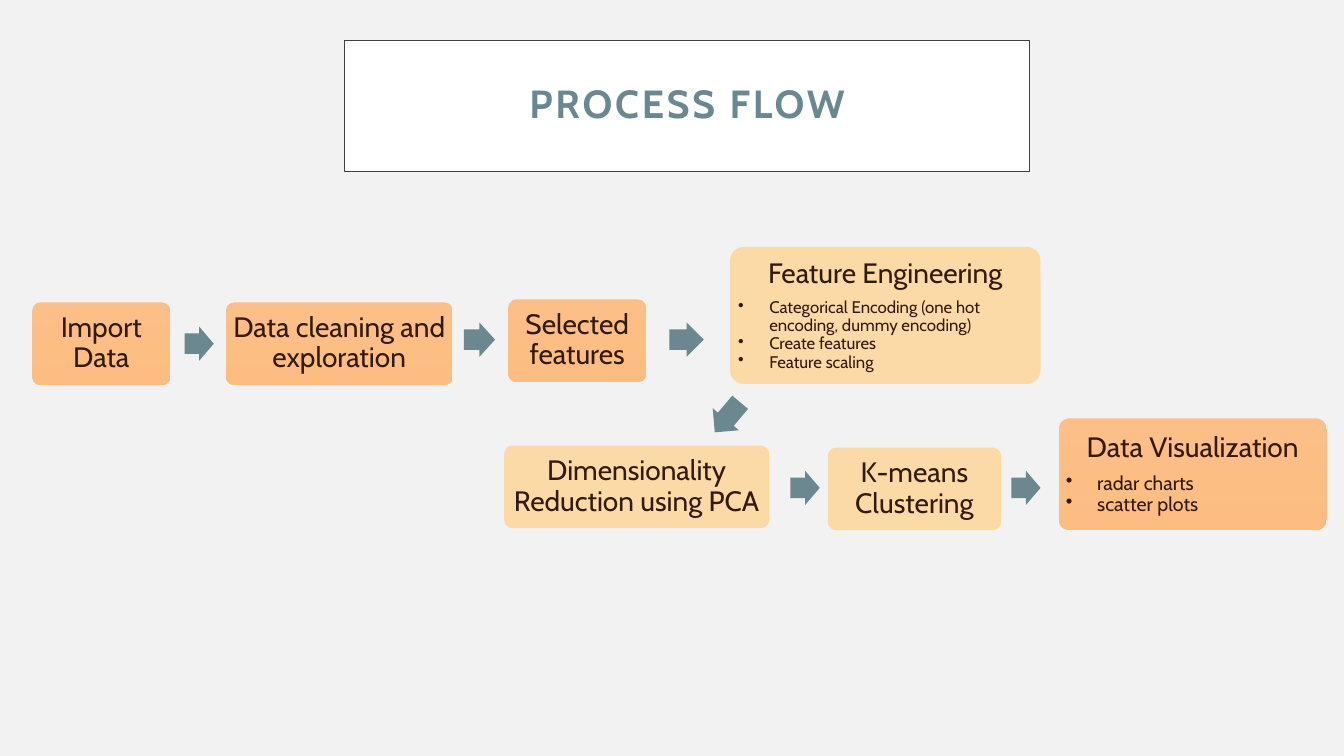
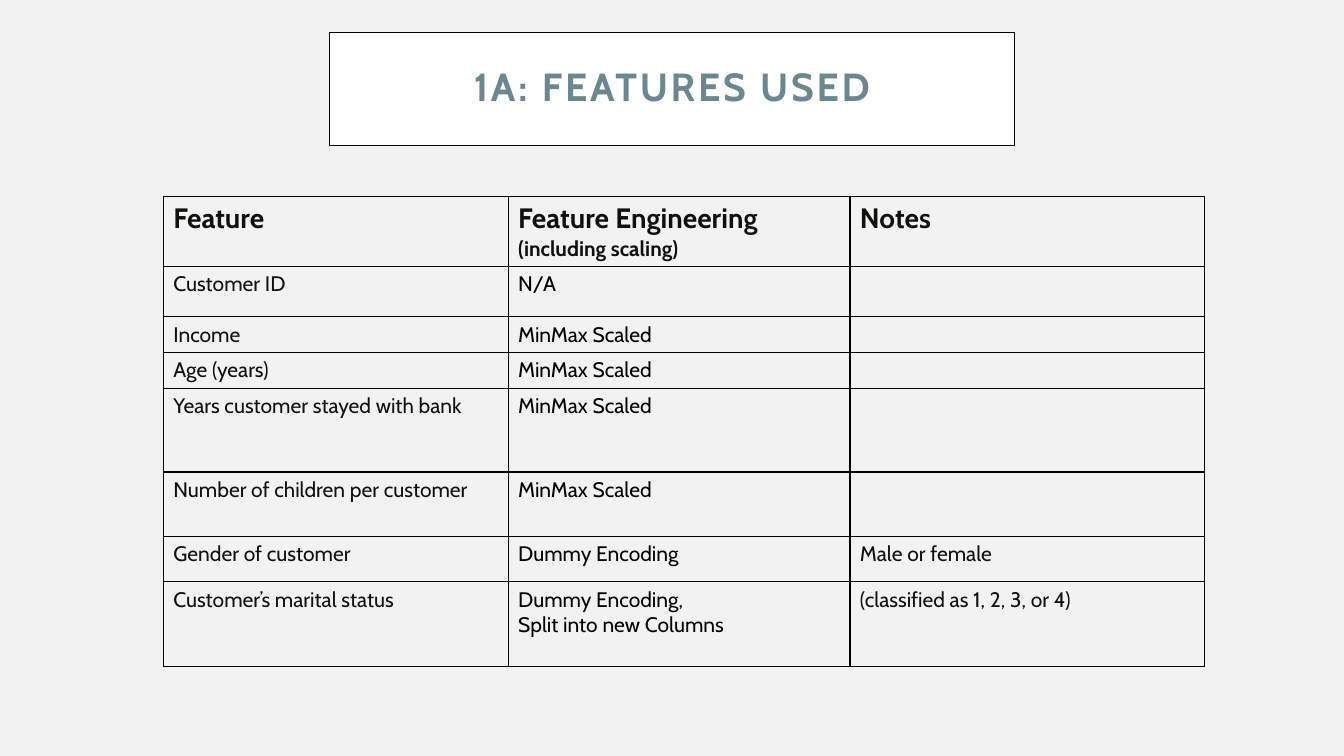
import pptx
import pptx.util
import pptx.dml.color
import pptx.enum.shapes
import pptx.enum.text
import pptx.oxml.ns
from lxml import etree

Inches, Pt = pptx.util.Inches, pptx.util.Pt
RGBColor = pptx.dml.color.RGBColor
MSO_SHAPE = pptx.enum.shapes.MSO_SHAPE
PP_ALIGN = pptx.enum.text.PP_ALIGN
MSO_ANCHOR = pptx.enum.text.MSO_ANCHOR
qn = pptx.oxml.ns.qn

# Shared look
FONT = "Cabin"
PAPER = RGBColor(0xF2, 0xF2, 0xF2)
WHITE = RGBColor(0xFF, 0xFF, 0xFF)
BLACK = RGBColor(0x00, 0x00, 0x00)
GREY = RGBColor(0x40, 0x40, 0x40)
TEAL = RGBColor(0x6B, 0x88, 0x91)
BROWN = RGBColor(0x32, 0x1A, 0x0C)
INK = RGBColor(0x10, 0x11, 0x0D)
SAND = RGBColor(0xFB, 0xDA, 0xA5)
ORANGE_TOP = RGBColor(0xFC, 0xBF, 0x87)
ORANGE_END = RGBColor(0xFD, 0xBD, 0x80)
ORANGE = (ORANGE_TOP, ORANGE_END)

# Process steps: heading, (left, top, width, height), fill, bullets, bullet size
STEPS = [
    ("Import Data", (0.32, 3, 1.37, 0.82), ORANGE, [], 0),
    ("Data cleaning and exploration", (2.24, 3, 2.25, 0.82), ORANGE, [], 0),
    ("Selected features", (5.04, 2.97, 1.37, 0.82), ORANGE, [], 0),
    ("Feature Engineering", (7.24, 2.45, 3.08, 1.36), SAND,
     ["Categorical Encoding (one hot encoding, dummy encoding)",
      "Create features", "Feature scaling"], 12),
    ("Dimensionality Reduction using PCA", (5, 4.42, 2.63, 0.82), SAND, [], 0),
    ("K-means Clustering", (8.21, 4.44, 1.72, 0.82), SAND, [], 0),
    ("Data Visualization", (10.5, 4.15, 2.66, 1.11), ORANGE,
     ["radar charts", "scatter plots"], 14),
]
# Arrows: left, middle height, length, rotation
ARROW_H = 0.34
ARROWS = [
    (1.83, 3.41, 0.29, 0), (4.6, 3.37, 0.31, 0), (6.64, 3.37, 0.34, 0),
    (7.02, 4.14, 0.39, 130.1), (7.84, 4.84, 0.29, 0), (10.03, 4.84, 0.29, 0),
]

# Feature table: one tuple per row, a line break starts a new paragraph
FEATURES = [
    ("Feature", "Feature Engineering\n(including scaling)", "Notes"),
    ("Customer ID", "N/A", ""),
    ("Income", "MinMax Scaled", ""),
    ("Age (years)", "MinMax Scaled", ""),
    ("Years customer stayed with bank", "MinMax Scaled", ""),
    ("Number of children per customer", "MinMax Scaled", ""),
    ("Gender of customer", "Dummy Encoding", "Male or female"),
    ("Customer’s marital status", "Dummy Encoding,\nSplit into new Columns",
     "(classified as 1, 2, 3, or 4)"),
]
COL_W = [3.42, 3.39, 3.52]
ROW_H = [0.68, 0.5, 0.35, 0.35, 0.83, 0.64, 0.45, 0.84]


def place(shape, box):
    for name, value in zip(("left", "top", "width", "height"), box):
        setattr(shape, name, Inches(value))


def set_frame(tf, inset, anchor=MSO_ANCHOR.MIDDLE):
    frame = {"word_wrap": True, "auto_size": pptx.enum.text.MSO_AUTO_SIZE.NONE,
             "vertical_anchor": anchor}
    for side in ("left", "top", "right", "bottom"):
        frame["margin_" + side] = Inches(inset)
    for name, value in frame.items():
        setattr(tf, name, value)


def write(p, text, size, color, bold=False, **paragraph):
    for name, value in paragraph.items():
        setattr(p, name, value)
    r = p.add_run()
    r.text = text
    for name, value in {"name": FONT, "size": Pt(size), "bold": bold}.items():
        setattr(r.font, name, value)
    r.font.color.rgb = color
    return r


def add_bullet(p, indent=0.31):
    pPr = p._p.get_or_add_pPr()
    pPr.set("marL", str(Inches(indent)))
    pPr.set("indent", str(-Inches(indent)))
    etree.SubElement(pPr, qn("a:buChar")).set("char", "•")


def add_slide(prs, title, box, line):
    s = prs.slides.add_slide(prs.slide_layouts.get_by_name("Title Only"))
    sp = s.shapes.title
    place(sp, box)
    sp.fill.solid()
    sp.fill.fore_color.rgb = WHITE
    sp.line.color.rgb = line
    sp.line.width = Pt(0.5)
    set_frame(sp.text_frame, 0.2)
    r = write(sp.text_frame.paragraphs[0], title, 28, TEAL, True,
              alignment=PP_ALIGN.CENTER, line_spacing=0.9)
    r._r.get_or_add_rPr().set("spc", "200")
    return s


def add_block(s, kind, box, fill):
    sp = s.shapes.add_shape(kind, *map(Inches, box))
    sp.shadow.inherit = False
    sp.line.fill.background()
    if fill is ORANGE:
        sp.fill.gradient()
        sp.fill.gradient_angle = 270
        for stop, color in zip(sp.fill.gradient_stops, fill):
            stop.color.rgb = color
    else:
        sp.fill.solid()
        sp.fill.fore_color.rgb = fill
    return sp


def add_step(s, heading, box, fill, bullets, bullet_size):
    sp = add_block(s, MSO_SHAPE.ROUNDED_RECTANGLE, box, fill)
    sp.adjustments[0] = 0.1
    tf = sp.text_frame
    set_frame(tf, 0.04)
    write(tf.paragraphs[0], heading, 20, BROWN, alignment=PP_ALIGN.CENTER,
          line_spacing=0.9, space_after=Pt(7 if bullets else 0))
    for text in bullets:
        p = tf.add_paragraph()
        add_bullet(p)
        write(p, text, bullet_size, BROWN, alignment=PP_ALIGN.LEFT, line_spacing=0.9)


def add_arrow(s, left, middle, length, rotation):
    box = (left, middle - ARROW_H / 2, length, ARROW_H)
    sp = add_block(s, MSO_SHAPE.RIGHT_ARROW, box, TEAL)
    sp.adjustments[0] = 0.6
    sp.adjustments[1] = 0.5
    sp.rotation = rotation


def set_borders(cell):
    tcPr = cell._tc.get_or_add_tcPr()
    for i, side in enumerate(("lnL", "lnR", "lnT", "lnB")):
        ln = etree.Element(qn("a:" + side), w=str(Pt(1)))
        fill = etree.SubElement(ln, qn("a:solidFill"))
        etree.SubElement(fill, qn("a:srgbClr")).set("val", str(BLACK))
        tcPr.insert(i, ln)


def fill_cell(cell, text, header, color):
    cell.fill.background()
    set_borders(cell)
    tf = cell.text_frame
    if not text:
        etree.SubElement(tf.paragraphs[0]._p, qn("a:endParaRPr")).set("sz", "1500")
        return
    for i, line in enumerate(text.split("\n")):
        p = tf.add_paragraph() if i else tf.paragraphs[0]
        write(p, line, 20 if header and i == 0 else 15, color, header)


def add_feature_table(s, left, top):
    frame = s.shapes.add_table(len(ROW_H), len(COL_W), Inches(left), Inches(top),
                               Inches(sum(COL_W)), Inches(sum(ROW_H)))
    table = frame.table
    table.first_row = table.horz_banding = False
    for column, width in zip(table.columns, COL_W):
        column.width = Inches(width)
    for i, (row, height) in enumerate(zip(table.rows, ROW_H)):
        row.height = Inches(height)
        for j, text in enumerate(FEATURES[i]):
            color = BLACK if i and j == 1 else INK
            fill_cell(table.cell(i, j), text, i == 0, color)


def main():
    prs = pptx.Presentation()
    prs.slide_width, prs.slide_height = Inches(13.33), Inches(7.5)
    background = prs.slide_master.background.fill
    background.solid()
    background.fore_color.rgb = PAPER

    # Process flow
    s = add_slide(prs, "PROCESS FLOW", (3.42, 0.4, 6.79, 1.3), GREY)
    for step in STEPS:
        add_step(s, *step)
    for arrow in ARROWS:
        add_arrow(s, *arrow)

    # Features used
    s = add_slide(prs, "1A: FEATURES USED", (3.27, 0.32, 6.79, 1.12), BLACK)
    add_feature_table(s, 1.62, 1.95)

    prs.save("out.pptx")


if __name__ == "__main__":
    main()
